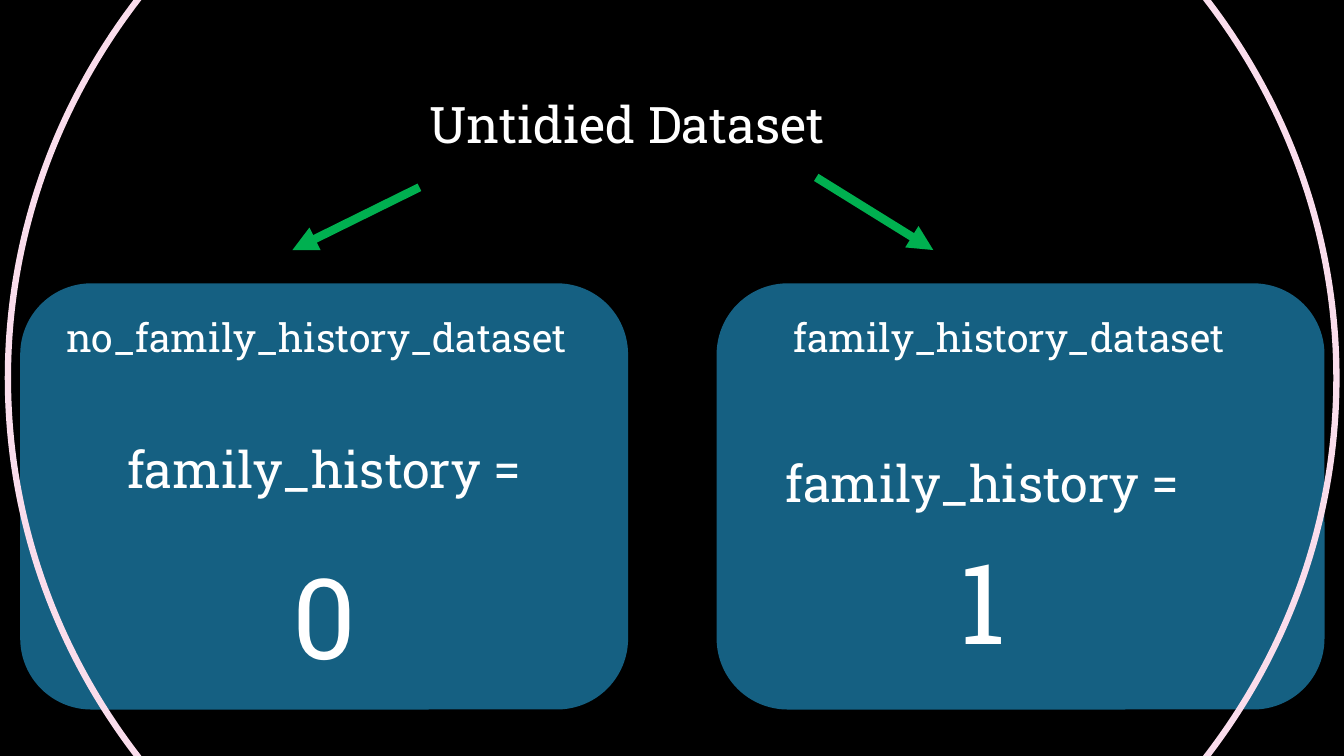
from lxml.etree import SubElement
from pptx import Presentation
from pptx.dml.color import RGBColor
from pptx.enum.shapes import MSO_CONNECTOR, MSO_SHAPE
from pptx.enum.text import MSO_ANCHOR, MSO_AUTO_SIZE, PP_ALIGN
from pptx.oxml.ns import qn
from pptx.util import Cm, Pt

BLACK = RGBColor(0x00, 0x00, 0x00)
WHITE = RGBColor(0xFF, 0xFF, 0xFF)
BLUE = RGBColor(0x15, 0x60, 0x82)
GREEN = RGBColor(0x00, 0xB0, 0x50)
PINK = RGBColor(0xFA, 0xDD, 0xEC)
FONT = "Roboto Slab"

# Content: lengths in cm, boxes as left, top, width, height
HEADING = "Untidied Dataset"
HEADING_BOX = (10.57, 2.21, 23.2, 1.8)
RING_BOX = (0.2, -6.53, 33.48, 32.11)
CARD_TOP, CARD_WIDTH, CARD_HEIGHT = 7.14, 15.32, 10.74
LABEL_TOP, LABEL_HEIGHT = 7.77, 1.45
DATASETS = [
    {"card_left": 0.51, "label": "no_family_history_dataset",
     "label_left": 1.42, "label_width": 14.4,
     "condition": "family_history =", "value": "0", "gap": 35,
     "condition_box": (0.51, 10.92, 15.32, 6.76),
     "arrow": (10.57, 4.72, 7.37, 6.3)},
    {"card_left": 18.06, "label": "family_history_dataset",
     "label_left": 19.74, "label_width": 14.1,
     "condition": "family_history =", "value": "1", "gap": 14,
     "condition_box": (13.72, 11.28, 22.07, 5.99),
     "arrow": (20.57, 4.47, 23.52, 6.3)},
]


def cm(lengths):
    return [Cm(length) for length in lengths]


def write(frame, lines, align=PP_ALIGN.LEFT):
    """Fill a text frame with (text, size, space before) lines."""
    frame.word_wrap = True
    frame.auto_size = MSO_AUTO_SIZE.NONE
    frame.vertical_anchor = MSO_ANCHOR.TOP
    for index, (text, size, gap) in enumerate(lines):
        paragraph = frame.paragraphs[0] if index == 0 else frame.add_paragraph()
        paragraph.text = text
        paragraph.alignment = align
        if gap:
            paragraph.space_before = Pt(gap)
        paragraph.font.name = FONT
        paragraph.font.size = Pt(size)
        paragraph.font.color.rgb = WHITE


def add_arrow(slide, ends):
    arrow = slide.shapes.add_connector(MSO_CONNECTOR.STRAIGHT, *cm(ends))
    arrow.line.color.rgb = GREEN
    arrow.line.width = Pt(6)
    SubElement(arrow.line._get_or_add_ln(), qn("a:tailEnd"), type="triangle")
    SubElement(arrow._element.spPr, qn("a:effectLst"))


def main():
    deck = Presentation()
    deck.slide_width, deck.slide_height = Cm(33.87), Cm(19.05)
    slide = deck.slides.add_slide(deck.slide_layouts[5])
    slide.background.fill.solid()
    slide.background.fill.fore_color.rgb = BLACK

    # Heading
    heading = slide.shapes.title
    heading.left, heading.top, heading.width, heading.height = cm(HEADING_BOX)
    write(heading.text_frame, [(HEADING, 36, 0)])

    # One card, label, condition and arrow per dataset
    for dataset in DATASETS:
        card = slide.shapes.add_shape(
            MSO_SHAPE.ROUNDED_RECTANGLE,
            *cm((dataset["card_left"], CARD_TOP, CARD_WIDTH, CARD_HEIGHT)))
        card.shadow.inherit = False
        card.fill.solid()
        card.fill.fore_color.rgb = BLUE
        card.line.fill.background()

        label = slide.shapes.add_textbox(*cm(
            (dataset["label_left"], LABEL_TOP, dataset["label_width"], LABEL_HEIGHT)))
        write(label.text_frame, [(dataset["label"], 28, 0)])

        condition = slide.shapes.add_textbox(*cm(dataset["condition_box"]))
        write(condition.text_frame,
              [(dataset["condition"], 36, 0), (dataset["value"], 80, dataset["gap"])],
              PP_ALIGN.CENTER)
        add_arrow(slide, dataset["arrow"])

    # Ring around everything
    ring = slide.shapes.add_shape(MSO_SHAPE.OVAL, *cm(RING_BOX))
    ring.shadow.inherit = False
    ring.fill.background()
    ring.line.color.rgb = PINK
    ring.line.width = Pt(4.5)

    deck.save("out.pptx")


if __name__ == "__main__":
    main()
